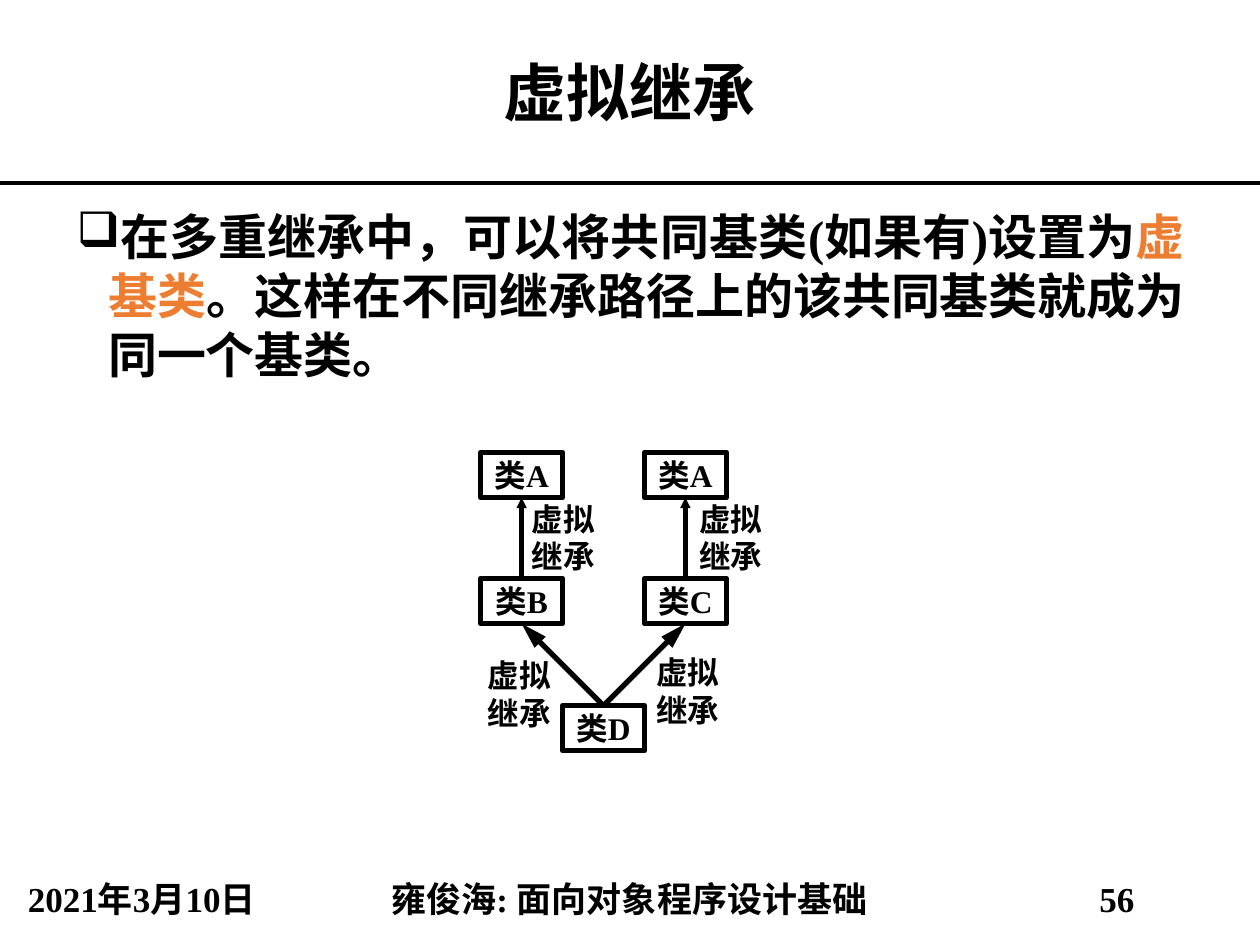
"""Build a slide on virtual inheritance with a class diagram."""
from lxml import etree
from pptx import Presentation
from pptx.dml.color import RGBColor
from pptx.enum import shapes, text
from pptx.oxml import ns
from pptx.util import Inches, Pt

BLACK = RGBColor(0x00, 0x00, 0x00)
ORANGE = RGBColor(0xED, 0x7D, 0x31)
FONT = "Times New Roman"
CENTER = text.PP_ALIGN.CENTER
MIDDLE = text.MSO_ANCHOR.MIDDLE


def write_text(shape, paragraphs, size=18, align=CENTER, anchor=MIDDLE,
               inset=None, left=0, first=0, bullet=None, spacing=None):
    frame = shape.text_frame
    frame.word_wrap = True
    frame.vertical_anchor = anchor
    if inset is not None:
        frame.margin_left = frame.margin_right = Inches(inset)
        frame.margin_top = frame.margin_bottom = Inches(inset)
    for index, runs in enumerate(paragraphs):
        paragraph = frame.add_paragraph() if index else frame.paragraphs[0]
        paragraph.alignment = align
        if spacing:
            paragraph.line_spacing = spacing
        properties = paragraph._p.get_or_add_pPr()
        properties.set("marL", str(Inches(left)))
        properties.set("indent", str(Inches(first)))
        if bullet:
            etree.SubElement(properties, ns.qn("a:buChar")).set("char", bullet)
        for words, color in runs:
            run = paragraph.add_run()
            run.text = words
            run.font.name = FONT
            run.font.size = Pt(size)
            run.font.bold = True
            run.font.color.rgb = color


def add_line(slide, start, end, width, head=None):
    x1, y1, x2, y2 = map(Inches, (*start, *end))
    line = slide.shapes.add_connector(shapes.MSO_CONNECTOR.STRAIGHT, x1, y1, x2, y2)
    line.line.color.rgb = BLACK
    line.line.width = Pt(width)
    if head:
        arrow = etree.SubElement(line.line._get_or_add_ln(), ns.qn("a:headEnd"))
        arrow.set("type", "triangle")
        arrow.set("w", head[0])
        arrow.set("len", head[1])
    etree.SubElement(line._element.spPr, ns.qn("a:effectLst"))


presentation = Presentation()
presentation.slide_width = Inches(10)
presentation.slide_height = Inches(7.5)
slide = presentation.slides.add_slide(presentation.slide_layouts[6])

title = slide.shapes.add_textbox(0, 0, Inches(10), Inches(1.45))
write_text(title, [[("虚拟继承", BLACK)]], size=36)

body = slide.shapes.add_textbox(Inches(0.51), Inches(1.59), Inches(8.99), Inches(5.36))
body_runs = [
    ("在多重继承中，可以将共同基类(如果有)设置为", BLACK),
    ("虚基类", ORANGE),
    ("。这样在不同继承路径上的该共同基类就成为同一个基类。", BLACK),
]
write_text(body, [body_runs], size=28, align=text.PP_ALIGN.JUSTIFY,
           anchor=text.MSO_ANCHOR.TOP, left=0.25, first=-0.25, bullet="❑")

for words, left, width in [
    ("2021年3月10日", 0, 2.25),
    ("56", 7.74, 2.25),
    ("雍俊海: 面向对象程序设计基础", 2.25, 5.49),
]:
    footer = slide.shapes.add_textbox(Inches(left), Inches(6.95), Inches(width), Inches(0.4))
    write_text(footer, [[(words, BLACK)]], size=20, spacing=0.9)

add_line(slide, (0, 1.45), (10, 1.45), 2.25)

BOX_WIDTH, BOX_HEIGHT = 0.65, 0.36
LEFT_X, MIDDLE_X, RIGHT_X = 4.14, 4.79, 5.44
TOP_Y, CENTER_Y, BOTTOM_Y = 3.59, 4.59, 5.6

for name, center, top in [
    ("类D", MIDDLE_X, BOTTOM_Y),
    ("类B", LEFT_X, CENTER_Y),
    ("类C", RIGHT_X, CENTER_Y),
    ("类A", RIGHT_X, TOP_Y),
    ("类A", LEFT_X, TOP_Y),
]:
    box = slide.shapes.add_shape(
        shapes.MSO_SHAPE.RECTANGLE, Inches(center - BOX_WIDTH / 2), Inches(top),
        Inches(BOX_WIDTH), Inches(BOX_HEIGHT))
    box.shadow.inherit = False
    box.fill.background()
    box.line.color.rgb = BLACK
    box.line.width = Pt(3)
    write_text(box, [[(name, BLACK)]], inset=0)

for x in (LEFT_X, RIGHT_X):
    add_line(slide, (x, CENTER_Y + BOX_HEIGHT), (MIDDLE_X, BOTTOM_Y), 3, ("med", "lg"))
    add_line(slide, (x, TOP_Y + BOX_HEIGHT), (x, CENTER_Y), 3, ("sm", "sm"))

for left, top in [(5.35, 3.94), (4.02, 3.94), (3.67, 5.18), (5.01, 5.16)]:
    label = slide.shapes.add_textbox(Inches(left), Inches(top), Inches(0.98), Inches(0.65))
    write_text(label, [[("虚拟", BLACK)], [("继承", BLACK)]],
               align=text.PP_ALIGN.LEFT, inset=0, left=0.2)

presentation.save("out.pptx")
